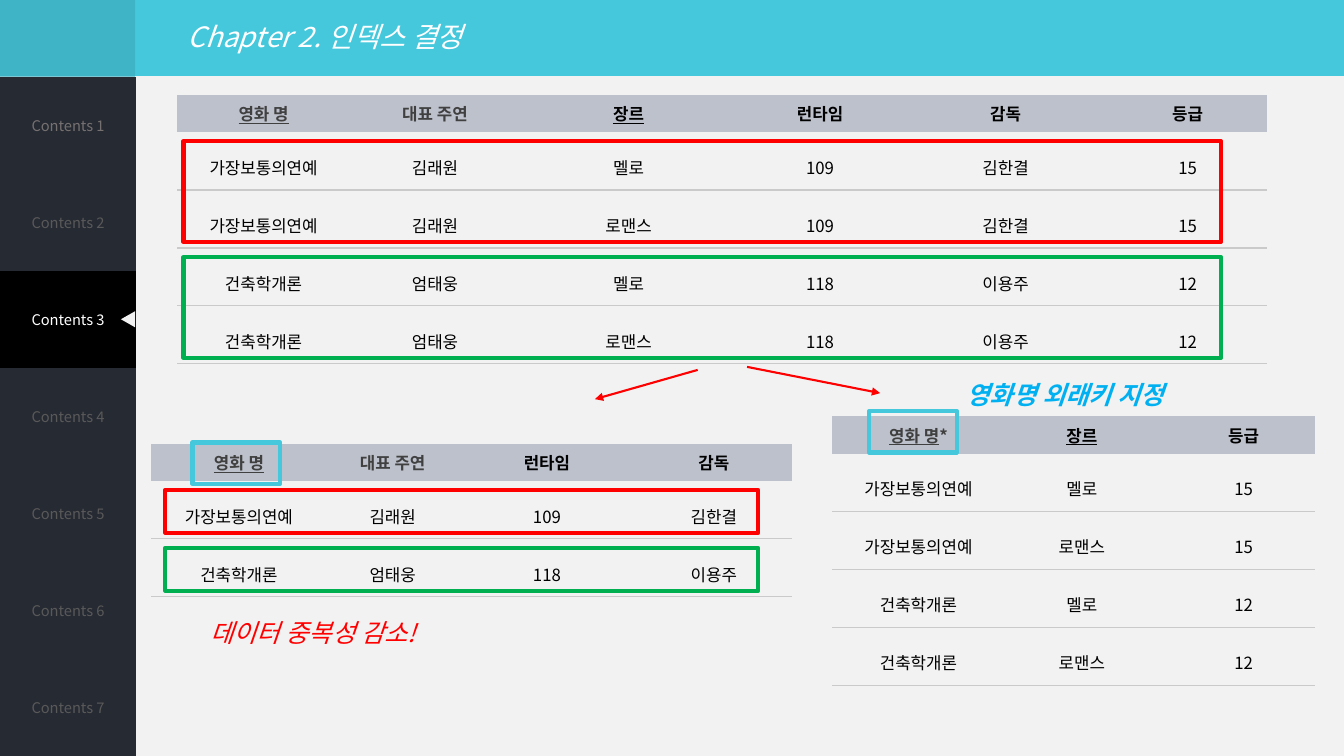
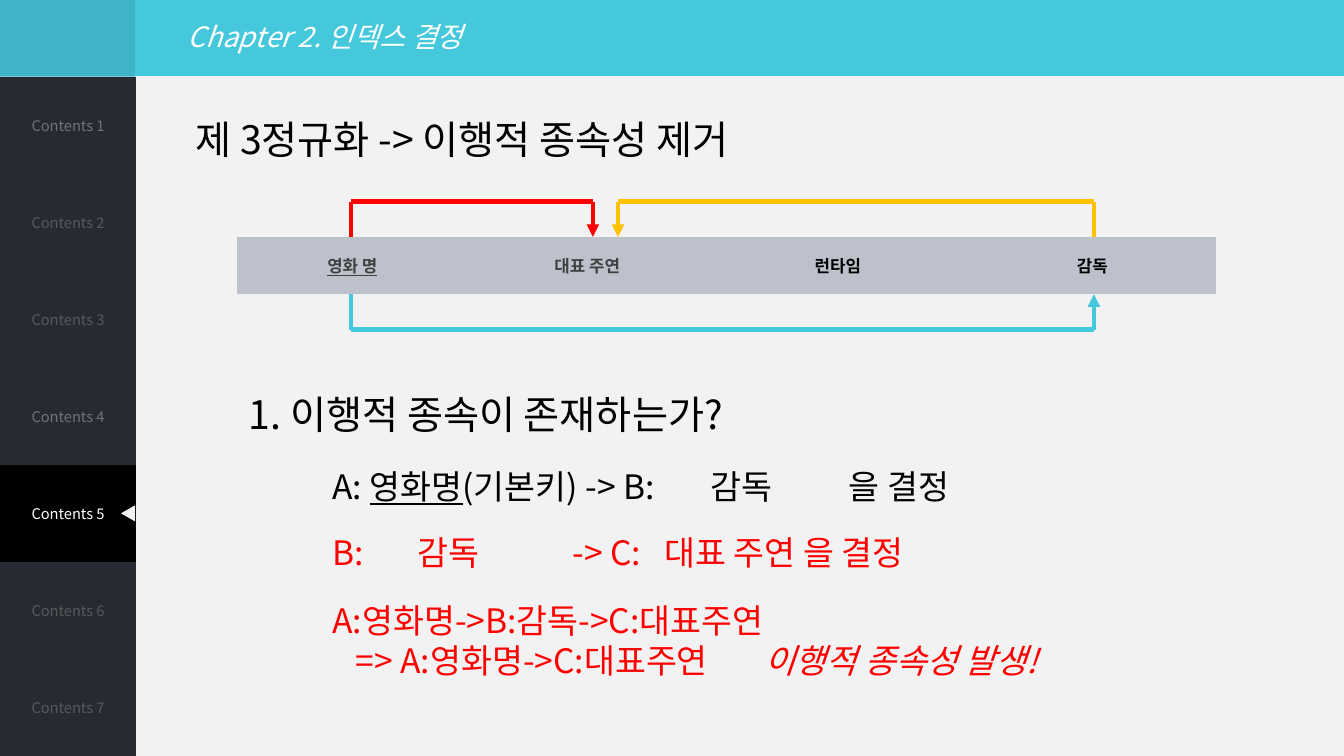
from lxml import etree
from pptx import Presentation
from pptx.dml.color import RGBColor
from pptx.enum.shapes import MSO_CONNECTOR, MSO_SHAPE
from pptx.enum.text import MSO_ANCHOR, PP_ALIGN
from pptx.oxml.ns import qn
from pptx.util import Inches, Pt

RECT, TRIANGLE = MSO_SHAPE.RECTANGLE, MSO_SHAPE.ISOSCELES_TRIANGLE
STRAIGHT = MSO_CONNECTOR.STRAIGHT
TOP, MIDDLE = MSO_ANCHOR.TOP, MSO_ANCHOR.MIDDLE
LEFT, CENTER = PP_ALIGN.LEFT, PP_ALIGN.CENTER

CYAN = RGBColor(0x45, 0xC8, 0xDC)
DARK_CYAN = RGBColor(0x3E, 0xB4, 0xC6)
PAPER = RGBColor(0xF2, 0xF2, 0xF2)
NAVY = RGBColor(0x26, 0x2A, 0x33)
BLACK = RGBColor(0x00, 0x00, 0x00)
WHITE = RGBColor(0xFF, 0xFF, 0xFF)
MENU_LIGHT = RGBColor(0x76, 0x71, 0x71)
MENU_DIM = RGBColor(0x59, 0x59, 0x59)
HEADER = RGBColor(0xBD, 0xC1, 0xCB)
CHARCOAL = RGBColor(0x40, 0x40, 0x40)
RULE = RGBColor(0xCA, 0xCA, 0xCA)
RED = RGBColor(0xFF, 0x00, 0x00)
GREEN = RGBColor(0x00, 0xB0, 0x50)
BLUE = RGBColor(0x00, 0xB0, 0xF0)
AMBER = RGBColor(0xFF, 0xC0, 0x00)

FONT = "Noto Sans CJK KR"
NO_TABLE_STYLE = "{2D5ABB26-0587-4C30-8999-92F81FD0307C}"
SLIDE_W, SLIDE_H = 13.33, 7.5
BAND_H, MENU_W, MENU_ROWS = 0.76, 1.35, 7
HEAD_H, ROW_H = 0.37, 0.575

TITLE, ACTOR, GENRE = "영화 명", "대표 주연", "장르"
RUNTIME, DIRECTOR, RATING = "런타임", "감독", "등급"
KEYS, MUTED = (TITLE, GENRE), (TITLE, ACTOR)
FILMS = [("가장보통의연예", "김래원", "109", "김한결", "15"),
         ("건축학개론", "엄태웅", "118", "이용주", "12")]
GENRES = ("멜로", "로맨스")


def inches(*lengths):
    return [Inches(v) for v in lengths]


def write(p, runs, size, color, bold=False, italic=False, align=LEFT, tabs=()):
    """Fill a paragraph; runs is a string or (text, style) pairs, style "u" or "i"."""
    p.alignment = align
    f = p.font
    f.size, f.name, f.bold, f.italic = Pt(size), FONT, bold, italic
    f.color.rgb = color
    etree.SubElement(f._rPr, qn("a:ea"), typeface=FONT)
    if tabs:
        stops = etree.Element(qn("a:tabLst"))
        for tab in tabs:
            etree.SubElement(stops, qn("a:tab"), pos=str(Inches(tab)), algn="l")
        p._p.pPr.find(qn("a:defRPr")).addprevious(stops)
    for text, style in [(runs, "")] if isinstance(runs, str) else runs:
        r = p.add_run()
        r.text = text
        if style == "u":
            r.font.underline = True
        elif style == "i":
            r.font.italic = True


def add_text(s, box, paragraphs, size, color, anchor=TOP, **style):
    tf = s.shapes.add_textbox(*inches(*box)).text_frame
    tf.word_wrap = True
    tf.vertical_anchor = anchor
    for i, runs in enumerate(paragraphs):
        p = tf.add_paragraph() if i else tf.paragraphs[0]
        write(p, runs, size, color, **style)


def add_block(s, kind, box, fill):
    sp = s.shapes.add_shape(kind, *inches(*box))
    sp.shadow.inherit = False
    sp.fill.solid()
    sp.fill.fore_color.rgb = fill
    sp.line.fill.background()
    return sp


def add_frame(s, box, color):
    sp = s.shapes.add_shape(RECT, *inches(*box))
    sp.shadow.inherit = False
    sp.fill.background()
    sp.line.color.rgb = color
    sp.line.width = Pt(3)


def add_line(s, start, end, color, width, arrow=False):
    cx = s.shapes.add_connector(STRAIGHT, *inches(*start, *end))
    cx.line.color.rgb = color
    cx.line.width = Pt(width)
    if arrow:
        etree.SubElement(cx.line._get_or_add_ln(), qn("a:tailEnd"), type="triangle")
    etree.SubElement(cx._element.spPr, qn("a:effectLst"))


def add_bracket(s, x1, x2, y, rise, color):
    """Draw a three-part arrow that leaves y at x1 and comes back to it at x2."""
    points = [(x1, y), (x1, y + rise), (x2, y + rise), (x2, y)]
    for i in range(3):
        add_line(s, points[i], points[i + 1], color, 3, arrow=i == 2)


def plain_table(s, left, top, widths, heights):
    box = inches(left, top, sum(widths), sum(heights))
    table = s.shapes.add_table(len(heights), len(widths), *box).table
    table.first_row = table.horz_banding = False
    table._tbl.tblPr[0].text = NO_TABLE_STYLE
    for column, width in zip(table.columns, widths):
        column.width = Inches(width)
    for row, height in zip(table.rows, heights):
        row.height = Inches(height)
    return table


def fill_cell(cell, fill):
    cell.vertical_anchor = MIDDLE
    if fill is None:
        cell.fill.background()
    else:
        cell.fill.solid()
        cell.fill.fore_color.rgb = fill


def underline_cell(cell):
    ln = etree.Element(qn("a:lnB"), w=str(Pt(1)))
    solid = etree.SubElement(ln, qn("a:solidFill"))
    etree.SubElement(solid, qn("a:srgbClr"), val=str(RULE))
    cell._tc.get_or_add_tcPr().insert(0, ln)


def header_runs(label):
    """Underline a key column's name, but not the star that marks a foreign key."""
    name, star, _ = label.partition("*")
    runs = [(name, "u" if name in KEYS else "")]
    return runs + [(star, "")] if star else runs


def data_table(s, left, top, widths, labels, records=(), head_h=HEAD_H):
    heights = [head_h] + [ROW_H] * len(records)
    table = plain_table(s, left, top, widths, heights)
    for i, values in enumerate([labels, *records]):
        for j, value in enumerate(values):
            cell = table.cell(i, j)
            cell.margin_left = Inches(0.24)
            fill_cell(cell, None if i else HEADER)
            p = cell.text_frame.paragraphs[0]
            if i:
                write(p, value, 12, BLACK, align=CENTER)
                p.line_spacing = 1.5
                underline_cell(cell)
            else:
                color = CHARCOAL if value.rstrip("*") in MUTED else BLACK
                write(p, header_runs(value), 12, color, bold=True, align=CENTER)


def frame_rows(s, left, table_top, width, count):
    """Frame the first group of count rows in red and the next in green."""
    for group, color in enumerate((RED, GREEN)):
        y = table_top + HEAD_H + group * count * ROW_H + 0.09
        add_frame(s, (left, y, width, count * ROW_H - 0.15), color)


def add_menu(s, active, light):
    row_h = (SLIDE_H - BAND_H) / MENU_ROWS
    table = plain_table(s, 0, BAND_H, [MENU_W], [row_h] * MENU_ROWS)
    for i in range(MENU_ROWS):
        number = i + 1
        color = MENU_LIGHT if number in light else MENU_DIM
        cell = table.cell(i, 0)
        fill_cell(cell, BLACK if number == active else NAVY)
        write(cell.text_frame.paragraphs[0], f"Contents {number}", 10.5,
              WHITE if number == active else color, align=CENTER)
    middle = BAND_H + (active - 0.5) * row_h
    pointer = add_block(s, TRIANGLE, (MENU_W - 0.16, middle - 0.07, 0.16, 0.14), PAPER)
    pointer.rotation = 270


def set_background(prs):
    fill = prs.slide_master.background.fill
    fill.gradient()
    fill.gradient_angle = 270
    for stop, color in zip(fill.gradient_stops, (CYAN, PAPER)):
        stop.position = 0.1
        stop.color.rgb = color


def base_slide(prs, active, light):
    s = prs.slides.add_slide(prs.slide_layouts[6])
    add_text(s, (1.76, 0.14, 10.64, 0.44), ["Chapter 2. 인덱스 결정"], 20, WHITE,
             anchor=MIDDLE, italic=True)
    add_block(s, RECT, (0, 0, MENU_W - 0.01, BAND_H), DARK_CYAN)
    add_menu(s, active, light)
    return s


def split_slide(prs):
    s = base_slide(prs, 3, (1,))
    full = [(film, actor, genre, runtime, director, rating)
            for film, actor, runtime, director, rating in FILMS for genre in GENRES]

    top = 0.94
    data_table(s, 1.76, top, (1.57, 1.83, 2.01, 1.79, 1.89, 1.72),
               (TITLE, ACTOR, GENRE, RUNTIME, DIRECTOR, RATING), full)
    frame_rows(s, 1.82, top, 10.29, 2)

    add_line(s, (6.92, 3.67), (5.9, 3.96), RED, 1.5, arrow=True)
    add_line(s, (7.41, 3.64), (8.73, 3.9), RED, 1.5, arrow=True)

    top = 4.4
    data_table(s, 1.5, top, (1.6, 1.45, 1.61, 1.7),
               (TITLE, ACTOR, RUNTIME, DIRECTOR), [film[:4] for film in FILMS])
    frame_rows(s, 1.64, top, 5.88, 1)
    add_text(s, (1.99, 6.08, 3.19, 0.4), ["데이터 중복성 감소!"], 18, RED, italic=True)

    data_table(s, 8.25, 4.13, (1.58, 1.66, 1.55), (TITLE + "*", GENRE, RATING),
               [(row[0], row[2], row[5]) for row in full])
    add_text(s, (9.49, 3.71, 3.17, 0.4), ["영화명 외래키 지정"], 18, BLUE,
             bold=True, italic=True)
    for left, y in ((1.91, 4.39), (8.62, 4.08)):
        add_frame(s, (left, y, 0.87, 0.41), CYAN)


def dependency_slide(prs):
    s = base_slide(prs, 5, (1, 4))
    add_text(s, (1.84, 1.09, 11.12, 0.57), ["제 3정규화 -> 이행적 종속성 제거"], 28, BLACK)

    top, bottom, rise = 2.35, 2.92, 0.35
    data_table(s, 2.35, top, (2.15, 2.51, 2.46, 2.59),
               (TITLE, ACTOR, RUNTIME, DIRECTOR), head_h=bottom - top)
    title_x, director_x = 3.48, 10.85
    add_bracket(s, title_x, director_x, bottom, rise, CYAN)
    add_bracket(s, director_x, 6.13, top, -rise, AMBER)
    add_bracket(s, title_x, 5.88, top, -rise, RED)

    add_text(s, (2.37, 3.82, 10.21, 0.57), ["1. 이행적 종속이 존재하는가?"], 28, BLACK)
    left = 3.2
    add_text(s, (left, 4.57, 8.87, 0.5),
             [[("A: ", ""), ("영화명", "u"), ("(기본키) -> B:\t감독\t을 결정", "")]],
             24, BLACK, tabs=(3.75, 5.12))
    add_text(s, (left, 5.23, 8.87, 0.5), ["B:\t감독\t-> C:\t대표 주연 을 결정"],
             24, RED, tabs=(0.84, 2.38, 3.29))
    add_text(s, (left, 5.9, 8.87, 0.91),
             ["A:영화명->B:감독->C:대표주연",
              [("\t=> A:영화명->C:대표주연\t", ""), ("이행적 종속성 발생!", "i")]],
             24, RED, tabs=(0.23, 4.28))


def main():
    prs = Presentation()
    prs.slide_width, prs.slide_height = inches(SLIDE_W, SLIDE_H)
    set_background(prs)
    split_slide(prs)
    dependency_slide(prs)
    prs.save("out.pptx")


if __name__ == "__main__":
    main()
